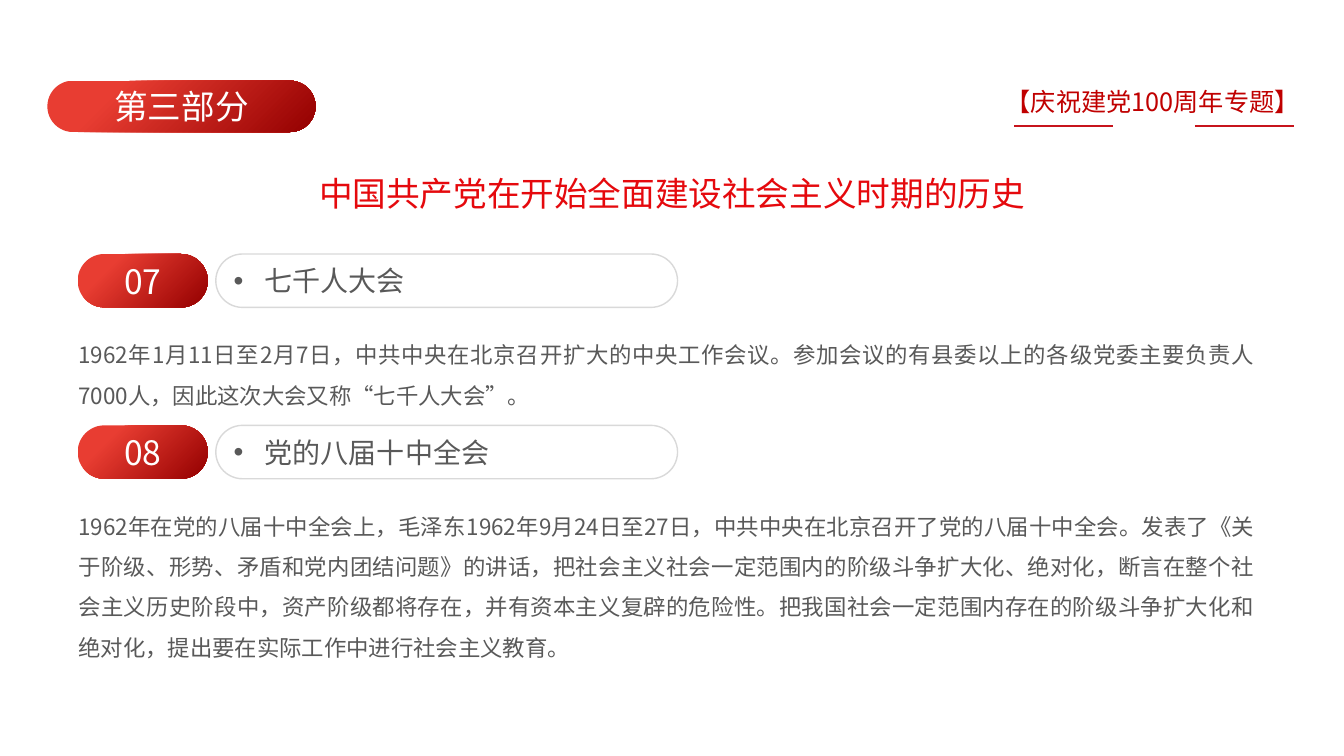
"""Builds the part-three slide on two meetings of 1962."""
from lxml.etree import SubElement
from pptx import Presentation
from pptx.dml.color import RGBColor
from pptx.enum.shapes import MSO_CONNECTOR, MSO_SHAPE
from pptx.enum.text import MSO_ANCHOR, PP_ALIGN
from pptx.oxml.ns import qn
from pptx.util import Inches, Pt

PART = "第三部分"
TOPIC = "【庆祝建党100周年专题】"
TITLE = "中国共产党在开始全面建设社会主义时期的历史"
MEETINGS = [
    ("07", "七千人大会",
     "1962年1月11日至2月7日，中共中央在北京召开扩大的中央工作会议。参加会议的有县委以上的各级党委主要负责人"
     "7000人，因此这次大会又称“七千人大会”。", 0.76),
    ("08", "党的八届十中全会",
     "1962年在党的八届十中全会上，毛泽东1962年9月24日至27日，中共中央在北京召开了党的八届十中全会。发表了"
     "《关于阶级、形势、矛盾和党内团结问题》的讲话，把社会主义社会一定范围内的阶级斗争扩大化、绝对化，断言在整"
     "个社会主义历史阶段中，资产阶级都将存在，并有资本主义复辟的危险性。把我国社会一定范围内存在的阶级斗争扩大"
     "化和绝对化，提出要在实际工作中进行社会主义教育。", 1.63),
]
FONT = "Noto Sans CJK SC"
COLORS = {"white": "FFFFFF", "gray": "595959", "border": "D9D9D9", "topic": "C00000",
          "title": "E5090D", "rule": "C7141C", "light": "E83D32", "dark": "940000"}
FIRST_ROW, ROW_STEP, BODY_OFFSET = 2.52, 1.7, 0.735
PILL_HEIGHT = 0.53
RULE_TOP, RULE_LENGTH = 1.25, 0.98


def color(name):
    return RGBColor.from_string(COLORS[name])


def write(shape, text, size=16, fill="gray", align=PP_ALIGN.LEFT, anchor=MSO_ANCHOR.MIDDLE,
          inset=(0.1, 0.05), spacing=None, bullet=False):
    """Put one formatted paragraph into a shape."""
    frame = shape.text_frame
    frame.word_wrap = True
    frame.vertical_anchor = anchor
    frame.margin_left = frame.margin_right = Inches(inset[0])
    frame.margin_top = frame.margin_bottom = Inches(inset[1])
    paragraph = frame.paragraphs[0]
    paragraph.alignment = align
    if spacing:
        paragraph.line_spacing = spacing
    if bullet:
        properties = paragraph._p.get_or_add_pPr()
        properties.set("marL", str(Inches(0.31)))
        properties.set("indent", str(-Inches(0.31)))
        SubElement(properties, qn("a:buFont")).set("typeface", "Arial")
        SubElement(properties, qn("a:buChar")).set("char", "•")
    run = paragraph.add_run()
    run.text = text
    run.font.size = Pt(size)
    run.font.name = FONT
    run.font.color.rgb = color(fill)
    SubElement(run._r.get_or_add_rPr(), qn("a:ea")).set("typeface", FONT)


def add_text(slide, box, text, **style):
    write(slide.shapes.add_textbox(*map(Inches, box)), text, **style)


def add_pill(slide, box, text, gradient=True, **style):
    shape = slide.shapes.add_shape(MSO_SHAPE.ROUNDED_RECTANGLE, *map(Inches, box))
    shape.adjustments[0] = 0.5
    shape.shadow.inherit = False
    if gradient:
        shape.fill.gradient()
        shape.fill.gradient_angle = 315
        for stop, position, name in zip(shape.fill.gradient_stops, (0.24, 1), ("light", "dark")):
            stop.position = position
            stop.color.rgb = color(name)
        shape.line.fill.background()
    else:
        shape.fill.solid()
        shape.fill.fore_color.rgb = color("white")
        shape.line.color.rgb = color("border")
        shape.line.width = Pt(1)
    write(shape, text, **style)


def add_rule(slide, left):
    line = slide.shapes.add_connector(MSO_CONNECTOR.STRAIGHT, Inches(left), Inches(RULE_TOP),
                                      Inches(left + RULE_LENGTH), Inches(RULE_TOP))
    line.line.color.rgb = color("rule")
    line.line.width = Pt(2)
    SubElement(line._element.spPr, qn("a:effectLst"))


def main():
    presentation = Presentation()
    presentation.slide_width, presentation.slide_height = Inches(13.33), Inches(7.5)
    slide = presentation.slides.add_slide(presentation.slide_layouts[5])
    number = dict(size=24, fill="white", align=PP_ALIGN.CENTER)

    title = slide.shapes.title
    title.left, title.top, title.width, title.height = map(Inches, (2.46, 1.64, 8.41, 0.54))
    write(title, TITLE, size=24, fill="title", align=PP_ALIGN.CENTER,
          anchor=MSO_ANCHOR.TOP, inset=(0.13, 0.07))
    add_text(slide, (7.93, 0.79, 5.09, 0.44), TOPIC, size=18, fill="topic",
             align=PP_ALIGN.RIGHT, anchor=MSO_ANCHOR.TOP, inset=(0.13, 0.07))
    for left in (10.06, 11.85):
        add_rule(slide, left)
    add_pill(slide, (0.47, 0.8, 2.66, 0.51), PART, **number)

    for index, (label, name, body, height) in enumerate(MEETINGS):
        top = FIRST_ROW + index * ROW_STEP
        add_pill(slide, (2.14, top, 4.58, PILL_HEIGHT), name, gradient=False, size=20, bullet=True)
        add_pill(slide, (0.77, top, 1.29, PILL_HEIGHT), label, **number)
        add_text(slide, (0.78, top + BODY_OFFSET, 11.67, height), body, align=PP_ALIGN.JUSTIFY,
                 anchor=MSO_ANCHOR.TOP, inset=(0, 0), spacing=1.5)
    presentation.save("out.pptx")


if __name__ == "__main__":
    main()
